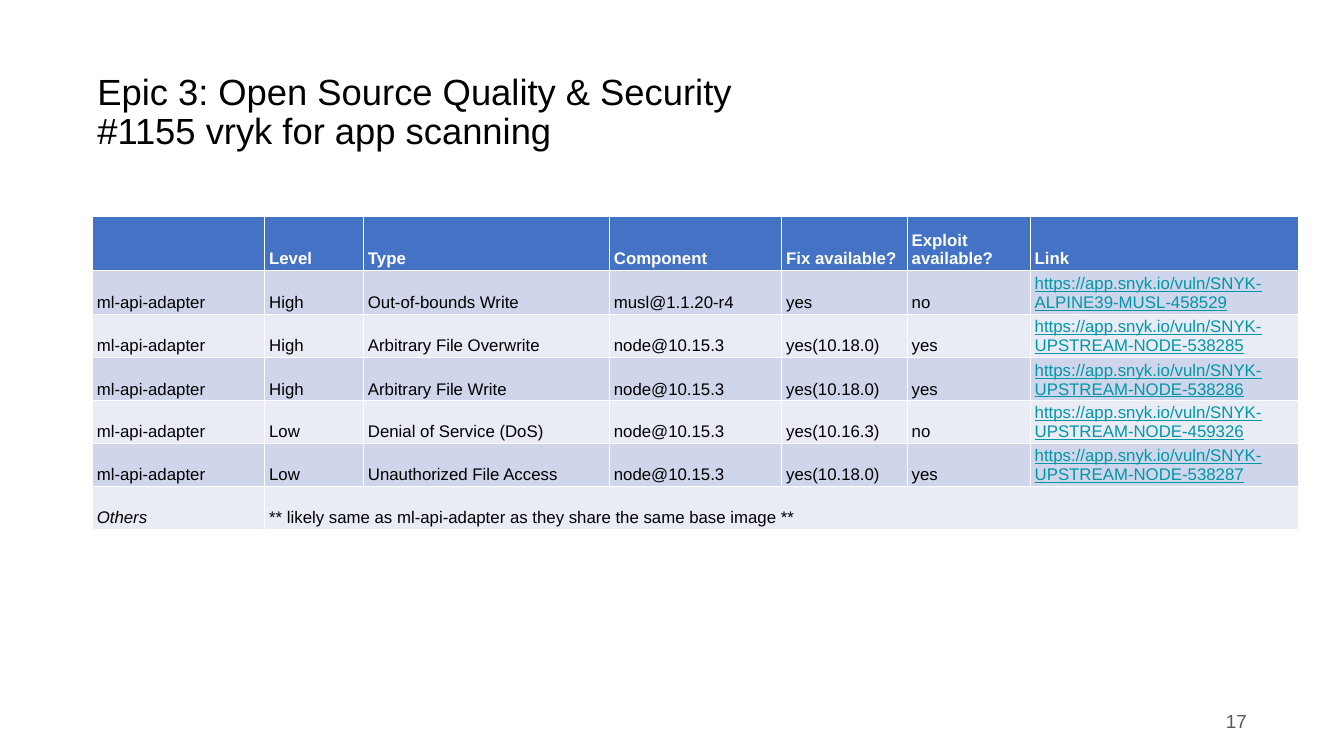
from dataclasses import dataclass

from lxml import etree
from pptx import Presentation
from pptx.dml.color import RGBColor
from pptx.enum import text
from pptx.oxml import ns
from pptx.util import Pt

WHITE, BLACK, GREY = "FFFFFF", "000000", "595959"
HEADER, BAND_DARK, BAND_LIGHT, LINK = "4472C4", "CFD5EA", "E9EBF5", "0097A7"
VULN_URL = "https://app.snyk.io/vuln/SNYK-"

COL_WIDTHS = [246.2, 141.1, 351.4, 246.2, 179.3, 175.7, 383]
ROW_HEIGHTS = [78, 62, 62, 62, 61, 61, 62]
HEADINGS = ["", "Level", "Type", "Component", "Fix available?",
            "Exploit available?", "Link"]


@dataclass
class Finding:
    level: str
    kind: str
    component: str
    fix: str
    exploit: str
    vuln_id: str

    def cells(self) -> list[str]:
        return ["ml-api-adapter", self.level, self.kind, self.component,
                self.fix, self.exploit, VULN_URL + self.vuln_id]


FINDINGS = [
    Finding("High", "Out-of-bounds Write", "musl@1.1.20-r4", "yes", "no",
            "ALPINE39-MUSL-458529"),
    Finding("High", "Arbitrary File Overwrite", "node@10.15.3", "yes(10.18.0)", "yes",
            "UPSTREAM-NODE-538285"),
    Finding("High", "Arbitrary File Write", "node@10.15.3", "yes(10.18.0)", "yes",
            "UPSTREAM-NODE-538286"),
    Finding("Low", "Denial of Service (DoS)", "node@10.15.3", "yes(10.16.3)", "no",
            "UPSTREAM-NODE-459326"),
    Finding("Low", "Unauthorized File Access", "node@10.15.3", "yes(10.18.0)", "yes",
            "UPSTREAM-NODE-538287"),
]


def color(target, value: str) -> None:
    target.rgb = RGBColor.from_string(value)


def write(tf, content: str, size: float, ink: str, align=text.PP_ALIGN.LEFT,
          spacing: float = 1.0, **font_format) -> None:
    tf.text = content
    p = tf.paragraphs[0]
    p.alignment, p.line_spacing = align, spacing
    for r in p.runs:
        for name, value in {"name": "Arial", "size": Pt(size), **font_format}.items():
            setattr(r.font, name, value)
        color(r.font.color, ink)


def set_frame(sp, left: float, top: float, width: float, height: float) -> None:
    box = {"left": left, "top": top, "width": width, "height": height}
    for name, value in box.items():
        setattr(sp, name, Pt(value))
    tf = sp.text_frame
    frame = {"word_wrap": True, "auto_size": text.MSO_AUTO_SIZE.NONE,
             "vertical_anchor": text.MSO_ANCHOR.MIDDLE,
             "margin_left": Pt(7.2), "margin_right": Pt(7.2),
             "margin_top": Pt(3.6), "margin_bottom": Pt(3.6)}
    for name, value in frame.items():
        setattr(tf, name, value)


def border(cell, widths: dict[str, float]) -> None:
    tc_pr = cell._tc.get_or_add_tcPr()
    for i, (side, width) in enumerate(widths.items()):
        ln = etree.Element(ns.qn(f"a:ln{side}"), w=str(Pt(width)))
        fill = etree.SubElement(ln, ns.qn("a:solidFill"))
        etree.SubElement(fill, ns.qn("a:srgbClr"), val=WHITE)
        tc_pr.insert(i, ln)


def fill_cell(cell, content: str, row: int, fill: str, ink: str, **font_format) -> None:
    cell_format = {"vertical_anchor": text.MSO_ANCHOR.BOTTOM,
                   "margin_left": Pt(6.5), "margin_right": Pt(6.5),
                   "margin_top": Pt(2.8), "margin_bottom": Pt(2.8)}
    for name, value in cell_format.items():
        setattr(cell, name, value)
    cell.fill.solid()
    color(cell.fill.fore_color, fill)
    border(cell, {"L": 0.75, "R": 0.75, "T": 1.95 if row == 1 else 0.75,
                  "B": 1.95 if row == 0 else 0.75})
    write(cell.text_frame, content, 24, ink, **font_format)


def add_findings_table(slide) -> None:
    others = ["Others", "** likely same as ml-api-adapter as they share "
              "the same base image **"] + [""] * 5
    rows = [HEADINGS, *(f.cells() for f in FINDINGS), others]
    table = slide.shapes.add_table(
        len(rows), len(COL_WIDTHS), Pt(131.8), Pt(308.2),
        Pt(sum(COL_WIDTHS)), Pt(sum(ROW_HEIGHTS))).table
    for column, width in zip(table.columns, COL_WIDTHS):
        column.width = Pt(width)
    for row, height in zip(table.rows, ROW_HEIGHTS):
        row.height = Pt(height)

    last = len(rows) - 1
    for i, values in enumerate(rows):
        fill = HEADER if i == 0 else BAND_DARK if i % 2 else BAND_LIGHT
        for j, value in enumerate(values):
            is_link = value.startswith(VULN_URL)
            ink = WHITE if i == 0 else LINK if is_link else BLACK
            fill_cell(table.cell(i, j), value, i, fill, ink, bold=i == 0,
                      underline=is_link, italic=i == last and j == 0)
    table.cell(last, 1).merge(table.cell(last, 6))


def main() -> None:
    prs = Presentation()
    prs.slide_width, prs.slide_height = Pt(1920), Pt(1080)
    slide = prs.slides.add_slide(prs.slide_layouts[5])

    # Title
    title = slide.shapes.title
    set_frame(title, 131.8, 57.6, 1656, 208.8)
    write(title.text_frame, "Epic 3: Open Source Quality & Security\v"
          "#1155 vryk for app scanning", 52, BLACK, spacing=0.9)

    # Page number
    number = slide.shapes.add_textbox(0, 0, 0, 0)
    set_frame(number, 1356.5, 1000.8, 432, 57.6)
    write(number.text_frame, "17", 27, GREY, text.PP_ALIGN.RIGHT)

    # Vulnerability findings
    add_findings_table(slide)
    prs.save("out.pptx")


if __name__ == "__main__":
    main()
